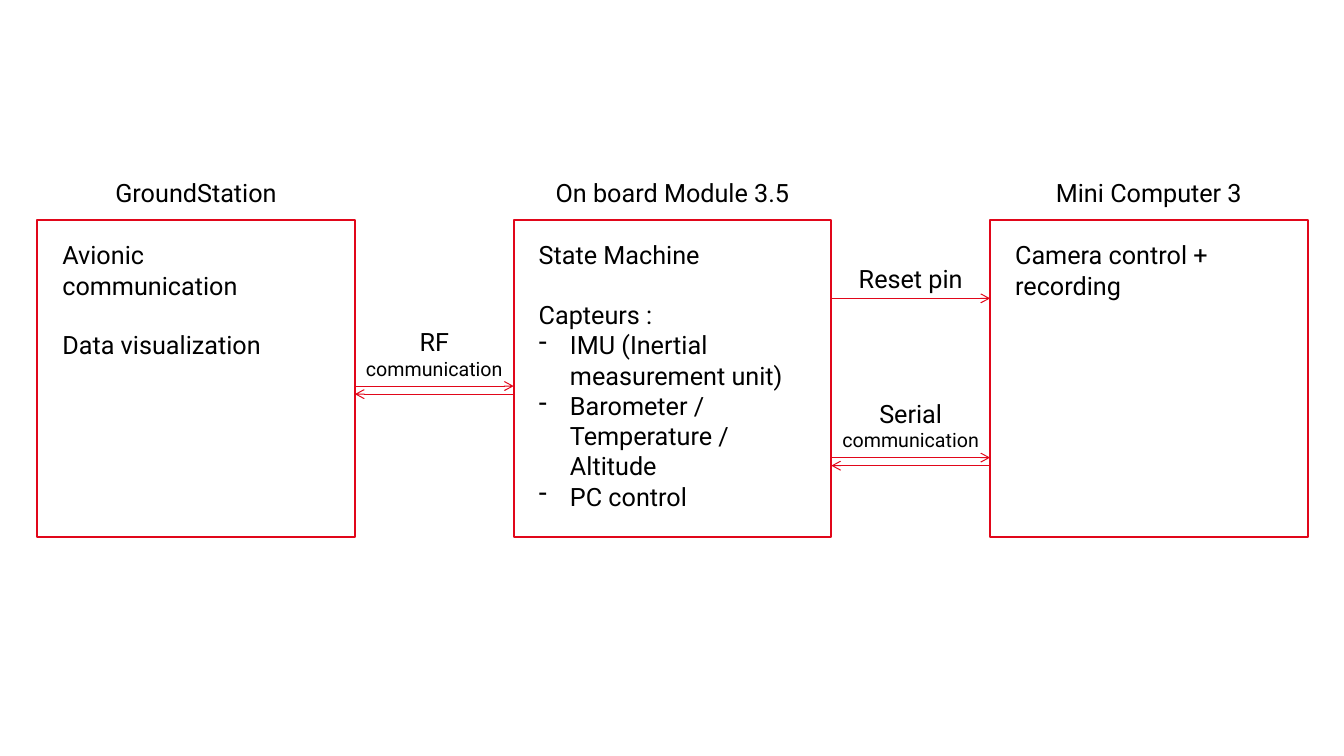
from lxml.etree import SubElement
from pptx import Presentation
from pptx.dml.color import RGBColor
from pptx.enum.shapes import MSO_CONNECTOR as Connector, MSO_SHAPE as Shape
from pptx.enum.text import MSO_ANCHOR as Anchor, PP_ALIGN as Align
from pptx.oxml.ns import qn
from pptx.util import Inches, Pt

RED, BLACK = "E1071A", "000000"
FONT = "Roboto"
BOX_TOP, BOX_SIZE = 2.18, 3.15
FIRST_LEFT, LAST_LEFT = 0.37, 9.82
PITCH = (LAST_LEFT - FIRST_LEFT) / 2
GAP = PITCH - BOX_SIZE
ARROW_SPACING = 0.08

UNITS = [
    ("GroundStation", [["Avionic communication"], ["Data visualization"]]),
    ("On board Module 3.5", [
        ["State Machine"],
        ["Capteurs :", "- IMU (Inertial measurement unit)",
         "- Barometer / Temperature / Altitude", "- PC control"],
    ]),
    ("Mini Computer 3", [["Camera control + recording"]]),
]
LINKS = [
    (0, 3.83, "RF ", "communication", True),
    (1, 2.96, "Reset pin", "", False),
    (1, 4.54, "Serial ", "communication", True),
]


def color(hex_string):
    """Turn a hex string into a colour."""
    return RGBColor.from_string(hex_string)


def style(font, size=18):
    """Apply the slide's typeface, size and text colour."""
    font.name = FONT
    font.size = Pt(size)
    font.color.rgb = color(BLACK)


def add_text_frame(slide, left, top, width, height):
    """Add a wrapping text box and return its text frame."""
    box = slide.shapes.add_textbox(*map(Inches, (left, top, width, height)))
    box.text_frame.word_wrap = True
    return box.text_frame


def add_dash(paragraph):
    """Give a paragraph a hanging dash bullet."""
    properties = paragraph._p.get_or_add_pPr()
    properties.set("marL", str(Inches(0.31)))
    properties.set("indent", str(-Inches(0.31)))
    SubElement(properties, qn("a:buChar"), char="-")


def add_body(slide, left, top, width, height, groups):
    """Write groups of lines with one line of space between groups."""
    frame = add_text_frame(slide, left, top, width, height)
    paragraph = frame.paragraphs[0]
    for group_index, group in enumerate(groups):
        for line_index, line in enumerate(group):
            if group_index or line_index:
                paragraph = frame.add_paragraph()
            if group_index and not line_index:
                paragraph.space_before = Pt(21)
            if line.startswith("- "):
                add_dash(paragraph)
            paragraph.text = line.removeprefix("- ")
            style(paragraph.font)


def add_unit(slide, left, top, size, title, groups):
    """Draw one outlined unit with its heading and contents."""
    square = slide.shapes.add_shape(
        Shape.RECTANGLE, *map(Inches, (left, top, size, size)))
    square.shadow.inherit = False
    square.fill.background()
    square.line.color.rgb = color(RED)
    square.line.width = Pt(1.5)

    heading = add_text_frame(slide, left + 0.16, top - 0.47, size - 0.32, 0.4)
    heading.vertical_anchor = Anchor.MIDDLE
    paragraph = heading.paragraphs[0]
    paragraph.text = title
    paragraph.alignment = Align.CENTER
    style(paragraph.font)

    add_body(slide, left + 0.15, top + 0.15, 2.78, size - 0.32, groups)


def add_arrow(slide, start, end, y):
    """Draw a horizontal open arrow from start to end."""
    arrow = slide.shapes.add_connector(
        Connector.STRAIGHT, *map(Inches, (start, y, end, y)))
    arrow.line.color.rgb = color(RED)
    arrow.line.width = Pt(0.75)
    SubElement(arrow.line._get_or_add_ln(), qn("a:tailEnd"), type="arrow")
    SubElement(arrow._element.spPr, qn("a:effectLst"))


def add_link(slide, left, y, width, name, detail, two_way):
    """Draw a labelled link, with a return arrow if it is two-way."""
    add_arrow(slide, left, left + width, y)
    if two_way:
        add_arrow(slide, left + width, left, y + ARROW_SPACING)
    height = 0.64 if detail else 0.4
    frame = add_text_frame(slide, left, y - height, width, height)
    paragraph = frame.paragraphs[0]
    paragraph.alignment = Align.CENTER
    for text, size in ((name, 18), (detail, 14)):
        if text:
            run = paragraph.add_run()
            run.text = text
            style(run.font, size)


def main():
    """Build the architecture slide."""
    presentation = Presentation()
    presentation.slide_width = Inches(13.33)
    presentation.slide_height = Inches(7.5)
    slide = presentation.slides.add_slide(presentation.slide_layouts[6])
    for index, (title, groups) in enumerate(UNITS):
        add_unit(slide, FIRST_LEFT + index * PITCH, BOX_TOP, BOX_SIZE, title, groups)
    for index, y, name, detail, two_way in LINKS:
        left = FIRST_LEFT + index * PITCH + BOX_SIZE
        add_link(slide, left, y, GAP, name, detail, two_way)
    presentation.save("out.pptx")


if __name__ == "__main__":
    main()
